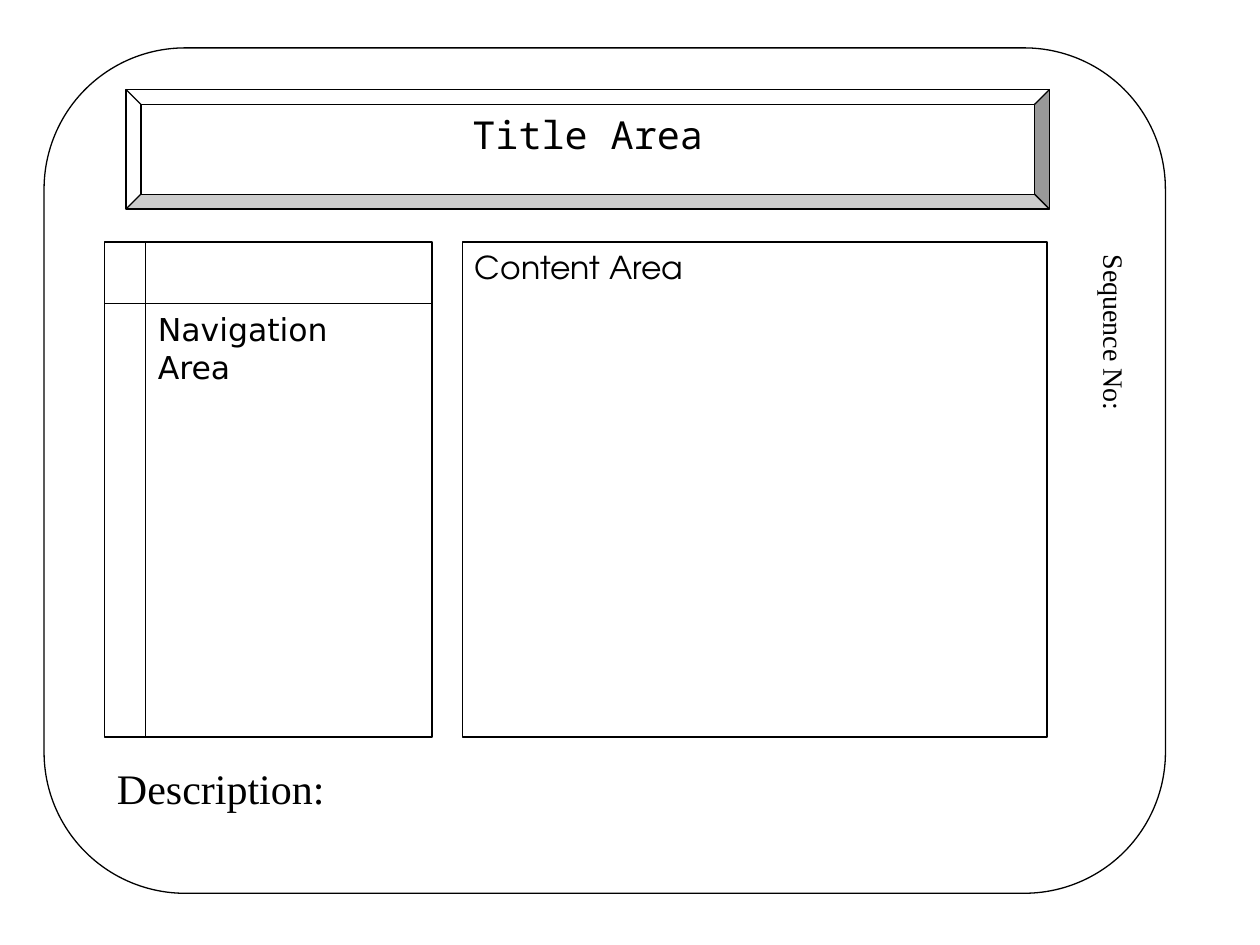
from pptx import Presentation
from pptx.dml.color import RGBColor
from pptx.enum.shapes import MSO_SHAPE
from pptx.enum.text import MSO_ANCHOR, PP_ALIGN
from pptx.util import Inches, Pt

BLACK = RGBColor(0, 0, 0)
WHITE = RGBColor(255, 255, 255)
LEFT, CENTER = PP_ALIGN.LEFT, PP_ALIGN.CENTER
TOP = MSO_ANCHOR.TOP
SERIF = "Times New Roman"

# Each panel: preset, (left, top, width, height), adjustment, lines, text format
PANELS = [
    (MSO_SHAPE.ROUNDED_RECTANGLE, (0.35, 0.38, 8.9, 6.71), 0.167, [], {}),
    (MSO_SHAPE.BEVEL, (1, 0.71, 7.33, 0.95), 0.125, ["Title Area"],
     dict(font="Noto Sans Mono", size=22, align=CENTER)),
    (MSO_SHAPE.FLOWCHART_INTERNAL_STORAGE, (0.83, 1.92, 2.6, 3.93), None,
     ["Navigation", "Area"], dict(font="DejaVu Sans", size=18)),
    (MSO_SHAPE.RECTANGLE, (3.67, 1.92, 4.64, 3.93), None, ["Content Area"],
     dict(font="TeX Gyre Adventor", size=18)),
]
# Each label: (left, top, width, height), lines, text format
LABELS = [
    ((7.92, 1.92, 1.11, 4.29), ["Sequence No:"],
     dict(font=SERIF, size=16, align=CENTER, vertical=True)),
    ((0.83, 6, 2.58, 0.5), ["Description:"], dict(font=SERIF, size=24)),
]


def write(sp, lines, font, size, align=LEFT, vertical=False):
    tf = sp.text_frame
    tf.word_wrap = True
    tf.vertical_anchor = TOP
    if vertical:
        tf._txBody.bodyPr.set("vert", "eaVert")
        tf.margin_left = tf.margin_right = Inches(0.05)
        tf.margin_top = tf.margin_bottom = Inches(0.1)
    for i, line in enumerate(lines):
        p = tf.add_paragraph() if i else tf.paragraphs[0]
        p.alignment = align
        r = p.add_run()
        r.text = line
        r.font.name = font
        r.font.size = Pt(size)
        r.font.color.rgb = BLACK


prs = Presentation()
prs.slide_width, prs.slide_height = Inches(10), Inches(7.5)
s = prs.slides.add_slide(prs.slide_layouts[6])

for preset, box, adjustment, lines, style in PANELS:
    sp = s.shapes.add_shape(preset, *map(Inches, box))
    sp.shadow.inherit = False
    sp.fill.solid()
    sp.fill.fore_color.rgb = WHITE
    sp.line.color.rgb = BLACK
    sp.line.width = Pt(0.75)
    if adjustment is not None:
        sp.adjustments[0] = adjustment
    if lines:
        write(sp, lines, **style)

for box, lines, style in LABELS:
    write(s.shapes.add_textbox(*map(Inches, box)), lines, **style)

prs.save("out.pptx")
